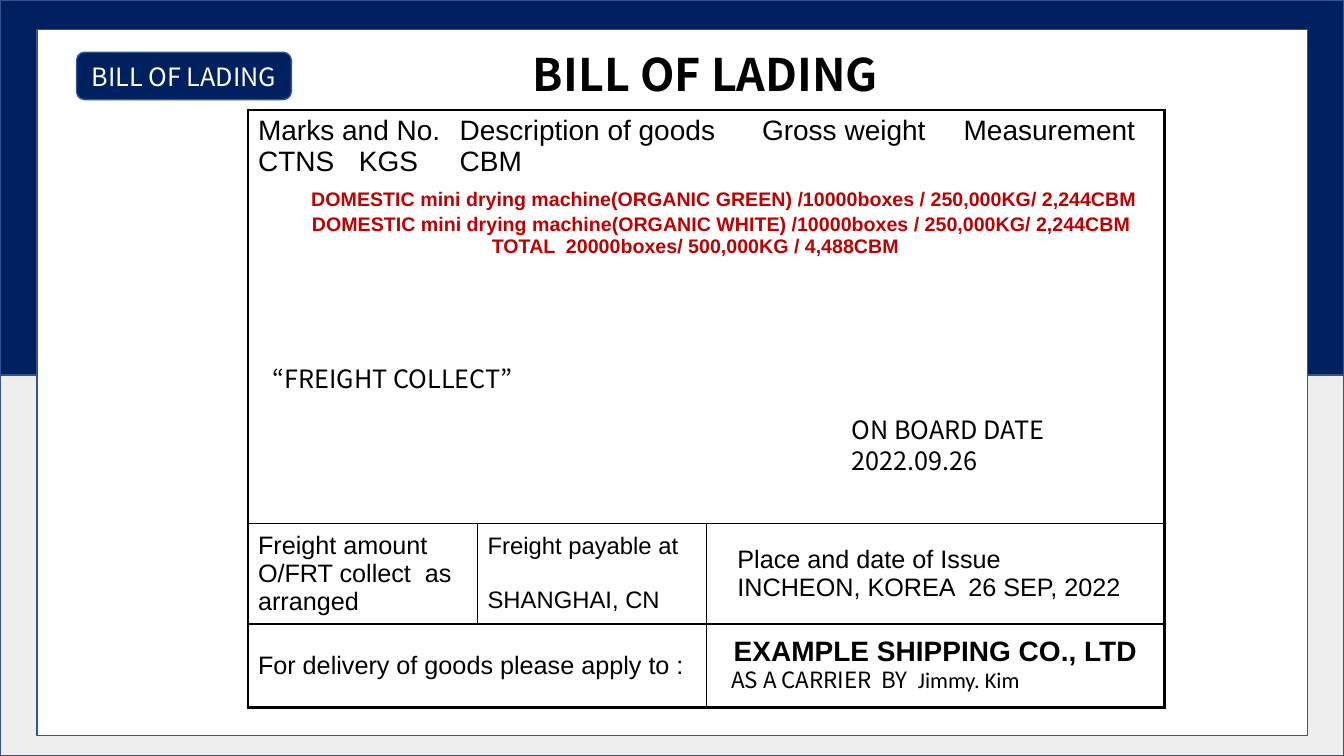
from dataclasses import dataclass

from pptx import Presentation
from pptx.dml.color import RGBColor
from pptx.enum import shapes, text
from pptx.oxml.ns import qn
from pptx.util import Pt
from lxml import etree


@dataclass(frozen=True)
class Theme:
    navy: str = "002060"
    outline: str = "325491"
    grey: str = "EEEEEE"
    white: str = "FFFFFF"
    black: str = "000000"
    red: str = "C00000"
    form_font: str = "Arial"
    label_font: str = "Noto Sans CJK KR"
    signature_font: str = "Calibri"
    title: float = 32
    heading: float = 20
    label: float = 18
    payable: float = 17
    carrier: float = 16
    goods: float = 14
    frame: float = 2.25
    rule: float = 1


THEME = Theme()
LEFT, CENTER = text.PP_ALIGN.LEFT, text.PP_ALIGN.CENTER
TOP, MIDDLE = text.MSO_ANCHOR.TOP, text.MSO_ANCHOR.MIDDLE


@dataclass(frozen=True)
class Box:
    left: float
    top: float
    width: float
    height: float

    def lengths(self) -> list[Pt]:
        return [Pt(n) for n in (self.left, self.top, self.width, self.height)]


@dataclass(frozen=True)
class Line:
    words: str
    size: float = THEME.label
    font: str = THEME.form_font
    color: str = THEME.black
    bold: bool = False
    align: text.PP_ALIGN = LEFT
    indent: float = 0
    before: float = 0
    leading: float | None = None
    tabs: tuple[float, ...] = ()
    signature: str = ""


@dataclass(frozen=True)
class Panel:
    box: Box
    fill: str
    kind: shapes.MSO_SHAPE = shapes.MSO_SHAPE.RECTANGLE
    lines: tuple[Line, ...] = ()


@dataclass(frozen=True)
class Entry:
    row: int
    column: int
    lines: tuple[Line, ...]
    span: int = 1
    anchor: text.MSO_ANCHOR = MIDDLE


def label(words: str, color: str = THEME.black, align: text.PP_ALIGN = LEFT) -> Line:
    return Line(words, font=THEME.label_font, color=color, align=align, leading=22)


def goods(words: str, indent: float, before: float = 0) -> Line:
    return Line(words, THEME.goods, color=THEME.red, bold=True, indent=indent, before=before)


PANELS = (
    Panel(Box(0, 264, 960, 276), THEME.grey),
    Panel(Box(0, 0, 960, 268), THEME.navy),
    Panel(Box(26.6, 20.9, 907.2, 504.7), THEME.white),
    Panel(Box(54.7, 37.4, 153.4, 33.8), THEME.navy, shapes.MSO_SHAPE.ROUNDED_RECTANGLE,
          (label("BILL OF LADING", THEME.white, CENTER),)),
)
TITLE_BOX = Box(310.3, 29.5, 387.4, 46)
TITLE = Line("BILL OF LADING", THEME.title, THEME.label_font, bold=True, align=CENTER, leading=39)
NOTES = (
    (Box(601.2, 292.3, 358, 93.6), (label("ON BOARD DATE"), label("2022.09.26"))),
    (Box(187.9, 255.6, 360, 28.8), (label("“FREIGHT COLLECT”"),)),
)

FORM_LEFT, FORM_TOP = 177.1, 78.5
COLUMNS = (164, 163.5, 327)
ROWS = (295.2, 72, 59.8)
ENTRIES = (
    Entry(0, 0, (
        Line("Marks and No.\tDescription of goods\tGross weight\tMeasurement",
             THEME.heading, tabs=(158, 362, 501.5)),
        Line("CTNS\tKGS\tCBM", THEME.heading, tabs=(453.5, 551.5)),
        goods("DOMESTIC mini drying machine(ORGANIC GREEN) /10000boxes / 250,000KG/ 2,244CBM",
              38, before=8),
        goods("DOMESTIC mini drying machine(ORGANIC WHITE) /10000boxes / 250,000KG/ 2,244CBM",
              38.5, before=2),
        goods("TOTAL  20000boxes/ 500,000KG / 4,488CBM", 167),
    ), span=3, anchor=TOP),
    Entry(1, 0, (Line("Freight amount"), Line("O/FRT collect  as arranged"))),
    Entry(1, 1, (Line("Freight payable at", THEME.payable),
                 Line("SHANGHAI, CN", THEME.payable, before=19.5))),
    Entry(1, 2, (Line("Place and date of Issue", indent=15),
                 Line("INCHEON, KOREA  26 SEP, 2022", indent=15))),
    Entry(2, 0, (Line("For delivery of goods please apply to :"),), span=2),
    Entry(2, 2, (
        Line("EXAMPLE SHIPPING CO., LTD", THEME.heading, bold=True, align=CENTER),
        Line("AS A CARRIER  BY  ", THEME.carrier, THEME.label_font, indent=10.5,
             leading=19.5, signature="Jimmy. Kim"),
    )),
)


def write(frame, lines: tuple[Line, ...]) -> None:
    frame.word_wrap = True
    for number, line in enumerate(lines):
        paragraph = frame.paragraphs[0] if number == 0 else frame.add_paragraph()
        paragraph.alignment = line.align
        paragraph.space_before = Pt(line.before)
        if line.leading:
            paragraph.line_spacing = Pt(line.leading)
        properties = paragraph._p.get_or_add_pPr()
        properties.set("marL", str(Pt(line.indent)))
        properties.set("indent", "0")
        if line.tabs:
            stops = etree.SubElement(properties, qn("a:tabLst"))
            for stop in line.tabs:
                etree.SubElement(stops, qn("a:tab"), pos=str(Pt(stop)), algn="l")
        font = paragraph.font
        font.size, font.bold = Pt(line.size), line.bold
        font.color.rgb = RGBColor.from_string(line.color)
        words = paragraph.add_run()
        words.text = line.words
        if line.signature:
            signature = paragraph.add_run()
            signature.text = line.signature
            words.font.name, signature.font.name = line.font, THEME.signature_font
        else:
            font.name = line.font


def draw_panel(slide, panel: Panel) -> None:
    shape = slide.shapes.add_shape(panel.kind, *panel.box.lengths())
    shape.shadow.inherit = False
    shape.fill.solid()
    shape.fill.fore_color.rgb = RGBColor.from_string(panel.fill)
    shape.line.color.rgb = RGBColor.from_string(THEME.outline)
    shape.line.width = Pt(THEME.rule)
    if panel.lines:
        shape.text_frame.vertical_anchor = MIDDLE
        write(shape.text_frame, panel.lines)


def border(cell, entry: Entry) -> None:
    """Heavy lines on the edge of the form, thin ones inside."""
    on_frame = {"L": entry.column == 0, "R": entry.column + entry.span == len(COLUMNS),
                "T": entry.row == 0, "B": entry.row == len(ROWS) - 1}
    properties = cell._tc.get_or_add_tcPr()
    for side, outer in on_frame.items():
        width = Pt(THEME.frame if outer else THEME.rule)
        edge = etree.SubElement(properties, qn(f"a:ln{side}"), w=str(width))
        fill = etree.SubElement(edge, qn("a:solidFill"))
        etree.SubElement(fill, qn("a:srgbClr"), val=THEME.black)


def draw_form(slide) -> None:
    box = Box(FORM_LEFT, FORM_TOP, sum(COLUMNS), sum(ROWS))
    form = slide.shapes.add_table(len(ROWS), len(COLUMNS), *box.lengths()).table
    form.first_row = form.horz_banding = False
    for column, width in zip(form.columns, COLUMNS):
        column.width = Pt(width)
    for row, height in zip(form.rows, ROWS):
        row.height = Pt(height)
    for entry in ENTRIES:
        cell = form.cell(entry.row, entry.column)
        if entry.span > 1:
            cell.merge(form.cell(entry.row, entry.column + entry.span - 1))
        cell.vertical_anchor = entry.anchor
        border(cell, entry)
        write(cell.text_frame, entry.lines)
    for row in form.rows:
        for cell in row.cells:
            cell.fill.background()


def main() -> None:
    deck = Presentation()
    deck.slide_width, deck.slide_height = Pt(960), Pt(540)
    slide = deck.slides.add_slide(deck.slide_layouts[5])
    for panel in PANELS:
        draw_panel(slide, panel)
    heading = slide.shapes.title
    heading.left, heading.top, heading.width, heading.height = TITLE_BOX.lengths()
    heading.text_frame.vertical_anchor = TOP
    write(heading.text_frame, (TITLE,))
    slide.shapes._spTree.append(heading._element)
    draw_form(slide)
    for box, lines in NOTES:
        write(slide.shapes.add_textbox(*box.lengths()).text_frame, lines)
    deck.save("out.pptx")


if __name__ == "__main__":
    main()
